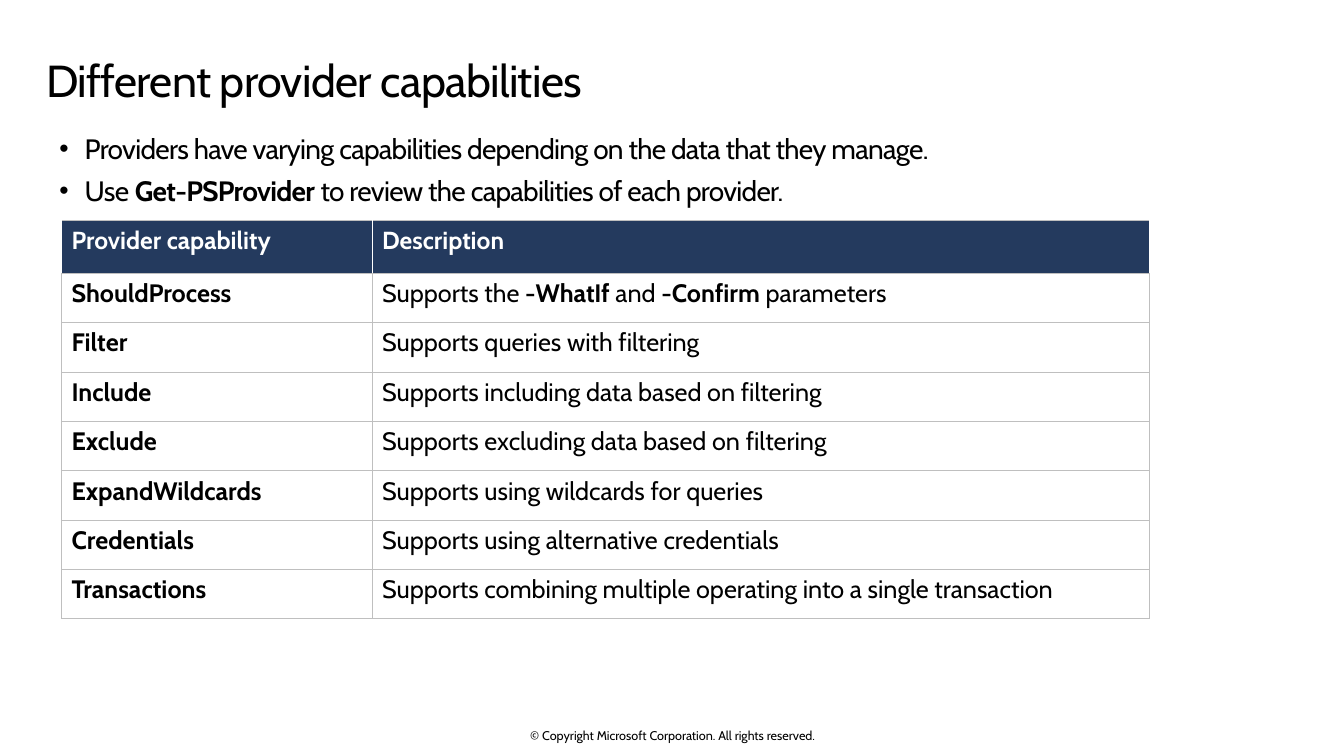
from lxml.etree import SubElement
from pptx import Presentation
from pptx.dml.color import RGBColor
from pptx.enum.text import MSO_ANCHOR, MSO_AUTO_SIZE, PP_ALIGN
from pptx.oxml.ns import qn
from pptx.util import Inches, Pt

FACE = "Cabin"
BLACK, WHITE, NAVY, GREY = "000000", "FFFFFF", "243A5E", "BFBFBF"
WIDE, HIGH = 13.33, 7.5
LEFT = 0.46

POINTS = [
    ["Providers have varying capabilities depending on the data that they manage."],
    ["Use", " Get-PSProvider", " to review the capabilities of each provider."],
]
HEADS = ["Provider capability", "Description"]
ROWS = [
    ("ShouldProcess", ["Supports the ", "-WhatIf", " and ", "-Confirm ", "parameters"]),
    ("Filter", ["Supports queries with filtering"]),
    ("Include", ["Supports including data based on filtering"]),
    ("Exclude", ["Supports excluding data based on filtering"]),
    ("ExpandWildcards", ["Supports using wildcards for queries"]),
    ("Credentials", ["Supports using alternative credentials"]),
    ("Transactions", ["Supports combining multiple operating into a single transaction"]),
]


def color(code):
    return RGBColor.from_string(code)


def style(para, size, code=BLACK, bold=None, track=None):
    font = para.font
    font.name, font.size, font.bold = FACE, Pt(size), bold
    font.color.rgb = color(code)
    if track:
        para._p.pPr.find(qn("a:defRPr")).set("spc", str(track))


def write(para, parts):
    """Add the parts as runs, making every second one bold."""
    for num, part in enumerate(parts):
        run = para.add_run()
        run.text = part
        if num % 2:
            run.font.bold = True


def place(shape, box, pads, anchor=MSO_ANCHOR.TOP):
    """Set the box and the left, top, right and bottom insets in inches."""
    shape.left, shape.top, shape.width, shape.height = map(Inches, box)
    frame = shape.text_frame
    (frame.margin_left, frame.margin_top,
     frame.margin_right, frame.margin_bottom) = map(Inches, pads)
    frame.word_wrap = True
    frame.auto_size = MSO_AUTO_SIZE.NONE
    frame.vertical_anchor = anchor
    return frame


def add_title(slide):
    frame = place(slide.shapes.title, (LEFT, 0.48, 12.4, 0.74), (0, 0.1, 0.16, 0.1))
    para = frame.paragraphs[0]
    para.text = "Different provider capabilities"
    para.alignment = PP_ALIGN.LEFT
    para.line_spacing = 0.9
    style(para, 32, track=-50)


def add_points(slide):
    frame = place(slide.placeholders[1], (LEFT, 1.25, 12.42, 0.86), (0, 0.05, 0, 0.05))
    for num, parts in enumerate(POINTS):
        para = frame.add_paragraph() if num else frame.paragraphs[0]
        para.level = 1
        para.space_before = Pt(6 if num else 0)
        props = para._p.get_or_add_pPr()
        props.set("marL", str(Inches(0.38)))
        props.set("indent", str(Inches(-0.25)))
        SubElement(props, qn("a:buSzPct")).set("val", "95000")
        SubElement(props, qn("a:buFont")).set("typeface", "Arial")
        SubElement(props, qn("a:buChar")).set("char", "•")
        style(para, 20, track=-50)
        write(para, parts)


def edge(cell, sides, code):
    props = cell._tc.get_or_add_tcPr()
    for side in sides:
        line = SubElement(props, qn(f"a:ln{side}"))
        line.set("w", str(Pt(0.5)))
        fill = SubElement(line, qn("a:solidFill"))
        SubElement(fill, qn("a:srgbClr")).set("val", code)


def fill_cell(cell, parts, head=False, bold=False):
    edge(cell, "LR", WHITE if head else GREY)
    edge(cell, "TB", GREY)
    cell.fill.solid()
    cell.fill.fore_color.rgb = color(NAVY if head else WHITE)
    para = cell.text_frame.paragraphs[0]
    style(para, 17.6 if head else 18, WHITE if head else BLACK, bold)
    write(para, parts)


def add_grid(slide):
    box = map(Inches, (0.61, 2.19, 10.79, 3.95))
    table = slide.shapes.add_table(len(ROWS) + 1, len(HEADS), *box).table
    table.horz_banding = False
    for col, width in zip(table.columns, (3.08, 7.71)):
        col.width = Inches(width)
    for num, row in enumerate(table.rows):
        row.height = Inches(0.49 if num else 0.52)
    for num, head in enumerate(HEADS):
        fill_cell(table.cell(0, num), [head], head=True, bold=True)
    for num, (name, parts) in enumerate(ROWS, 1):
        fill_cell(table.cell(num, 0), [name], bold=True)
        fill_cell(table.cell(num, 1), parts, bold=False)


def add_footer(slide):
    shape = slide.shapes.add_textbox(0, 0, 0, 0)
    frame = place(shape, (4.42, 7.22, 4.5, 0.15), (0, 0, 0, 0), MSO_ANCHOR.MIDDLE)
    para = frame.paragraphs[0]
    para.text = "© Copyright Microsoft Corporation. All rights reserved."
    para.alignment = PP_ALIGN.CENTER
    style(para, 9)


def main():
    deck = Presentation()
    deck.slide_width, deck.slide_height = Inches(WIDE), Inches(HIGH)
    slide = deck.slides.add_slide(deck.slide_layouts[1])
    add_footer(slide)
    add_title(slide)
    add_points(slide)
    add_grid(slide)
    deck.save("out.pptx")


if __name__ == "__main__":
    main()
